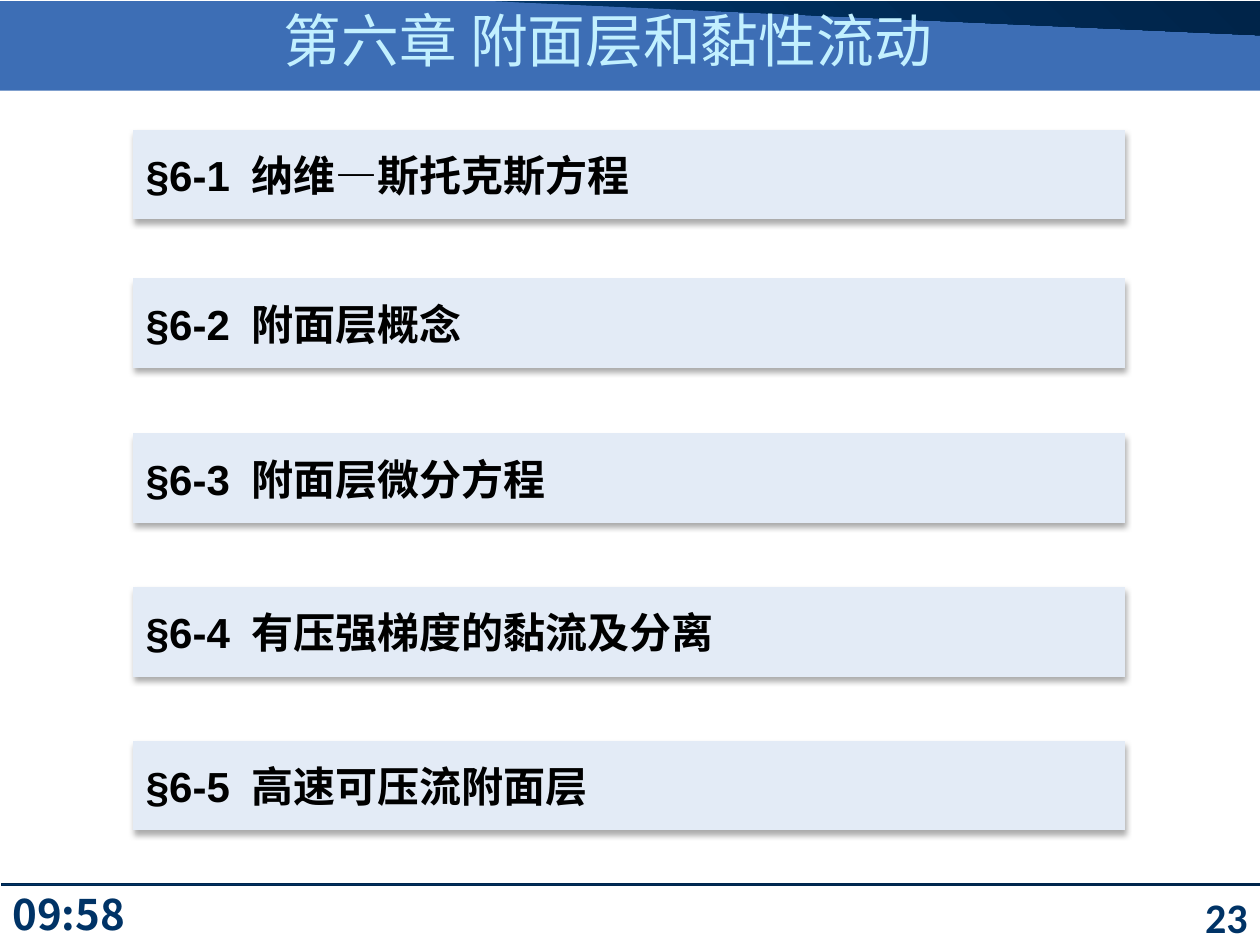
from lxml import etree
from pptx import Presentation
from pptx.dml.color import RGBColor
from pptx.enum.shapes import MSO_SHAPE
from pptx.enum.text import MSO_ANCHOR, PP_ALIGN
from pptx.oxml import parse_xml
from pptx.oxml.ns import nsdecls, qn
from pptx.util import Inches, Pt

RECT = MSO_SHAPE.RECTANGLE
BUTTON = MSO_SHAPE.ACTION_BUTTON_CUSTOM
TOP, MIDDLE = MSO_ANCHOR.TOP, MSO_ANCHOR.MIDDLE
LEFT, CENTER, RIGHT = PP_ALIGN.LEFT, PP_ALIGN.CENTER, PP_ALIGN.RIGHT
NAVY, DARK = "003366", "002449"
CJK = "Noto Sans CJK SC"


def color(code):
    return RGBColor.from_string(code)


def write(shape, text, size=24, font="Arial", ink="000000", bold=True,
          align=LEFT, anchor=MIDDLE, tab=None):
    frame = shape.text_frame
    frame.word_wrap = True
    frame.vertical_anchor = anchor
    para = frame.paragraphs[0]
    para.alignment = align
    if tab:
        stops = etree.SubElement(para._p.get_or_add_pPr(), qn("a:tabLst"))
        etree.SubElement(stops, qn("a:tab"), pos=str(Inches(tab)), algn="l")
    run = para.add_run()
    run.text = text
    face = run.font
    face.size, face.name, face.bold = Pt(size), font, bold
    face.color.rgb = color(ink)
    east = font if font.startswith("Noto") else CJK
    etree.SubElement(run._r.get_or_add_rPr(), qn("a:ea"), typeface=east)


def blend(shape, angle):
    fill = shape.fill
    fill.gradient()
    fill.gradient_angle = angle
    for stop, code, spot in zip(fill.gradient_stops, (NAVY, DARK), (0, 1)):
        stop.color.rgb = color(code)
        stop.position = spot


class Deck:
    def __init__(self):
        self.prs = Presentation()
        self.prs.slide_width, self.prs.slide_height = Inches(10), Inches(7.5)
        self.slide = self.prs.slides.add_slide(self.prs.slide_layouts[5])
        self.shapes = self.slide.shapes

    def block(self, box, fill=None, kind=RECT):
        shape = self.shapes.add_shape(kind, *map(Inches, box))
        shape.shadow.inherit = False
        shape.line.fill.background()
        if fill:
            shape.fill.solid()
            shape.fill.fore_color.rgb = color(fill)
        return shape

    def wedge(self, points):
        spots = [(Inches(x), Inches(y)) for x, y in points]
        pen = self.shapes.build_freeform(*spots[0])
        pen.add_line_segments(spots[1:], close=True)
        shape = pen.convert_to_shape()
        shape.shadow.inherit = False
        shape.line.fill.background()
        blend(shape, 45)

    def rule(self, box):
        shape = self.block(box)
        blend(shape, 0)
        shape.line.color.rgb = color("00264D")
        shape.line.width = Pt(0.75)

    def label(self, box, text, **style):
        shape = self.shapes.add_textbox(*map(Inches, box))
        write(shape, text, ink=NAVY, **style)

    def button(self, box, text):
        shape = self.block(box, "E3EBF6", BUTTON)
        shape._element.spPr.find(qn("a:effectLst")).append(parse_xml(
            f'<a:outerShdw {nsdecls("a")} blurRad="{Pt(3.5)}" '
            f'dist="{Pt(2.2)}" dir="5400000" rotWithShape="0">'
            '<a:srgbClr val="000000"><a:alpha val="32000"/></a:srgbClr>'
            '</a:outerShdw>'))
        write(shape, text, tab=0.84)

    def title(self, box, text, **style):
        shape = self.shapes.title
        shape.left, shape.top, shape.width, shape.height = map(Inches, box)
        write(shape, text, **style)
        # Bring the title in front of the banner
        self.shapes._spTree.append(shape._element)


def main():
    deck = Deck()

    # Banner
    deck.block((0, 0.01, 10.01, 0.71), "3D6EB5")
    deck.wedge([(3.93, 0.01), (10, 0.28), (10, 0.01)])

    # Footer
    deck.rule((0.01, 7.01, 10, 0.02))
    deck.label((0, 7, 1.34, 0.5), "09:58", font=CJK, anchor=TOP)
    deck.label((9.06, 7, 0.94, 0.55), "23", font="Calibri", align=RIGHT)

    # Chapter sections
    parts = [
        (1.03, "纳维—斯托克斯方程"),
        (2.21, "附面层概念"),
        (3.44, "附面层微分方程"),
        (4.66, "有压强梯度的黏流及分离"),
        (5.88, "高速可压流附面层"),
    ]
    for num, (top, name) in enumerate(parts, 1):
        deck.button((1.06, top, 7.87, 0.71), f"§6-{num}\t{name}")

    # Title
    deck.title((0.94, -0.08, 7.77, 0.78), "第六章 附面层和黏性流动", size=33,
               font="Noto Sans CJK JP", ink="C2F0FF", bold=False, align=CENTER)

    deck.prs.save("out.pptx")


if __name__ == "__main__":
    main()
